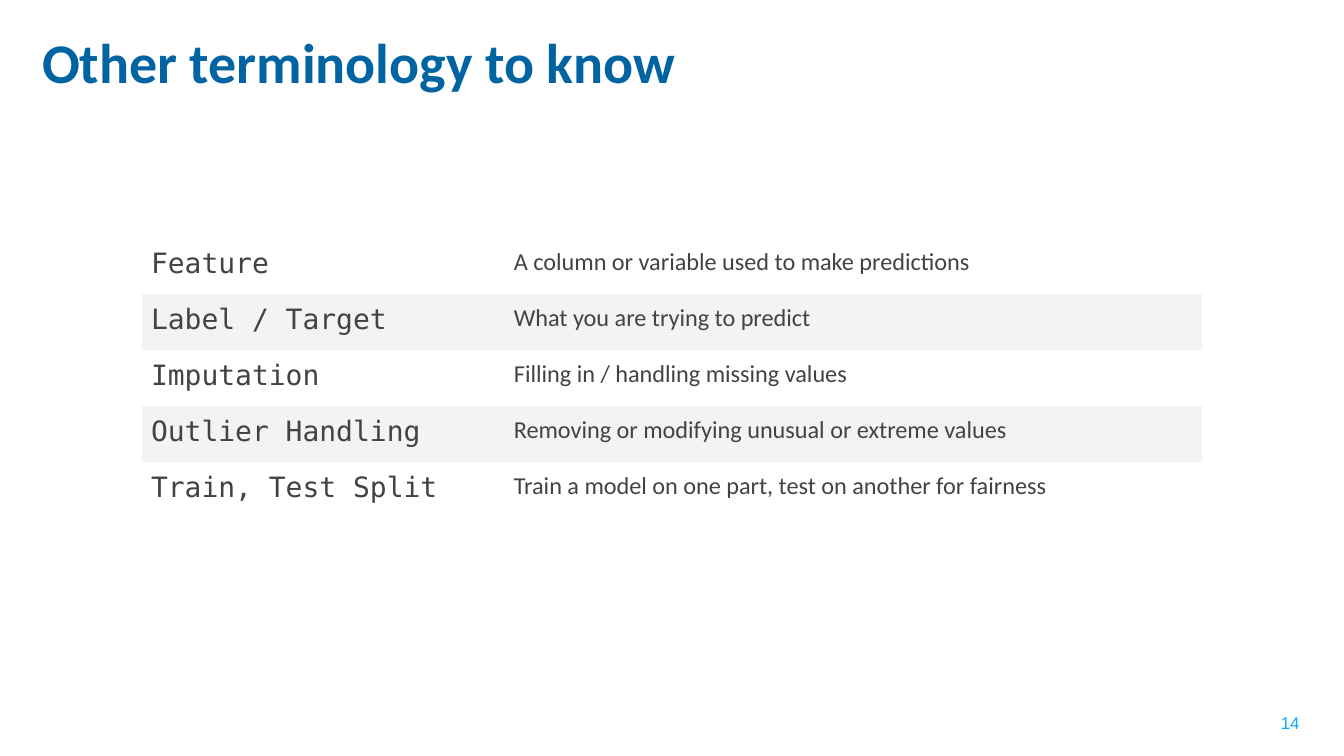
from pptx import Presentation
from pptx.dml.color import RGBColor as RGB
from pptx.enum.text import MSO_ANCHOR as ANCHOR, MSO_AUTO_SIZE as AUTO, PP_ALIGN as ALIGN
from pptx.util import Pt

COLORS = {"title": "0064A3", "number": "05ACF6", "text": "434343",
          "band": "F3F3F3"}
FORMATS = {
    "title": {"name": "Calibri", "size": Pt(30), "bold": True},
    "number": {"name": "Arial", "size": Pt(9)},
    "term": {"name": "DejaVu Sans Mono", "size": Pt(15)},
    "meaning": {"name": "Calibri", "size": Pt(13)},
}
TERMS = [
    ("Feature", "A column or variable used to make predictions"),
    ("Label / Target", "What you are trying to predict"),
    ("Imputation", "Filling in / handling missing values"),
    ("Outlier Handling", "Removing or modifying unusual or extreme values"),
    ("Train, Test Split", "Train a model on one part, test on another for fairness"),
]
COL_WIDTHS = (194.4, 373.7)
ROW_HEIGHT = 30
NO_STYLE_NO_GRID = "{2D5ABB26-0587-4C30-8999-92F81FD0307C}"


def set_attrs(obj, values):
    for name, value in values.items():
        setattr(obj, name, value)


def set_margins(obj, x, y):
    set_attrs(obj, {"margin_left": Pt(x), "margin_right": Pt(x),
                    "margin_top": Pt(y), "margin_bottom": Pt(y)})


def write(tf, text, style, color, align=ALIGN.LEFT):
    p = tf.paragraphs[0]
    p.alignment = align
    r = p.add_run()
    r.text = text
    set_attrs(r.font, FORMATS[style])
    r.font.color.rgb = RGB.from_string(COLORS[color])


def add_title(s, text):
    sp = s.shapes.title
    set_attrs(sp, {"left": Pt(18), "top": Pt(12.24),
                   "width": Pt(684), "height": Pt(40.32)})
    tf = sp.text_frame
    set_attrs(tf, {"word_wrap": True, "auto_size": AUTO.NONE,
                   "vertical_anchor": ANCHOR.TOP})
    set_margins(tf, 4.5, 2.25)
    write(tf, text, "title", "title")


def add_page_number(s, text):
    sp = s.shapes.add_textbox(Pt(683.3), Pt(379.5), Pt(15.8), Pt(15.1))
    tf = sp.text_frame
    tf.word_wrap = False
    set_margins(tf, 2.25, 2.25)
    write(tf, text, "number", "number", ALIGN.CENTER)


def fill_cell(cell, text, style, banded):
    set_margins(cell, 5, 5)
    cell.vertical_anchor = ANCHOR.TOP
    if banded:
        cell.fill.solid()
        cell.fill.fore_color.rgb = RGB.from_string(COLORS["band"])
    else:
        cell.fill.background()
    write(cell.text_frame, text, style, "text")


def add_terms_table(s):
    frame = s.shapes.add_table(len(TERMS), len(COL_WIDTHS), Pt(75.9), Pt(127.5),
                               Pt(sum(COL_WIDTHS)), Pt(ROW_HEIGHT * len(TERMS)))
    table = frame.table
    set_attrs(table, {"first_row": False, "horz_banding": False})
    frame._element.graphic.graphicData.tbl.tblPr[0].text = NO_STYLE_NO_GRID
    for col, width in zip(table.columns, COL_WIDTHS):
        col.width = Pt(width)
    for i, row in enumerate(TERMS):
        table.rows[i].height = Pt(ROW_HEIGHT)
        for j, (text, style) in enumerate(zip(row, ("term", "meaning"))):
            fill_cell(table.cell(i, j), text, style, i % 2 == 1)


def main():
    prs = Presentation()
    set_attrs(prs, {"slide_width": Pt(720), "slide_height": Pt(405)})
    s = prs.slides.add_slide(prs.slide_layouts[5])
    add_page_number(s, "14")
    add_title(s, "Other terminology to know")
    add_terms_table(s)
    prs.save("out.pptx")


if __name__ == "__main__":
    main()
